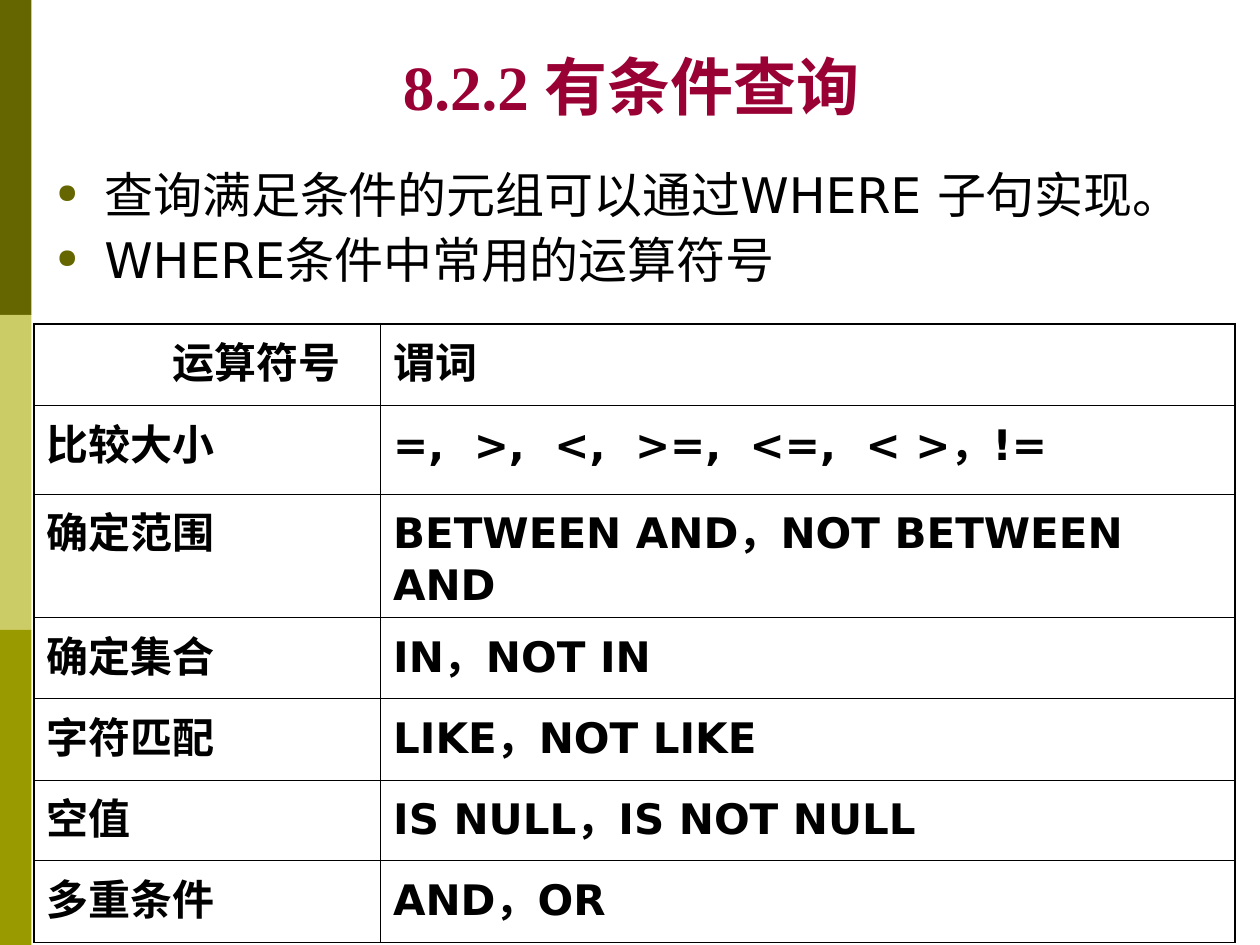
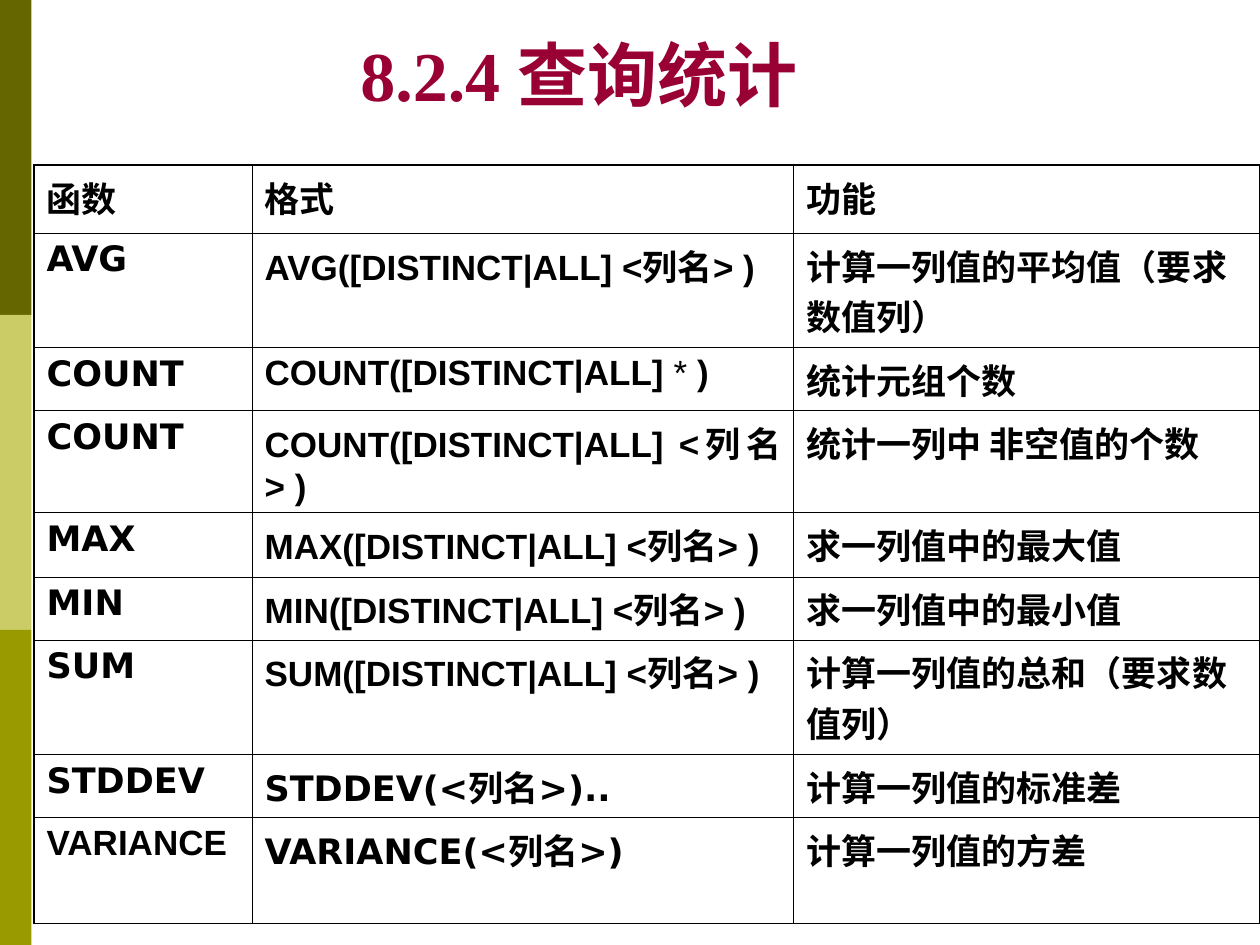
import pptx
import pptx.dml.color
import pptx.enum.shapes
import pptx.enum.text
import pptx.oxml
import pptx.oxml.ns
import pptx.util
from lxml import etree

Inches = pptx.util.Inches
Pt = pptx.util.Pt
qn = pptx.oxml.ns.qn
PP_ALIGN = pptx.enum.text.PP_ALIGN

COLORS = {
    "olive": "666600",
    "pale": "CCCC66",
    "moss": "999900",
    "title": "990033",
    "text": "000000",
}
SANS = "DejaVu Sans"
ARIAL = "Arial"
SERIF = "Times New Roman"
OUTER_LINE = 1.08
INNER_LINE = 0.45


def write(paragraph, text, size=20, font=SANS, color="text", bold=True, align=None):
    run = paragraph.add_run()
    run.text = text
    run.font.size = Pt(size)
    run.font.name = font
    run.font.bold = bold
    run.font.color.rgb = pptx.dml.color.RGBColor.from_string(COLORS[color])
    if align is not None:
        paragraph.alignment = align


def draw_table(slide, left, top, widths, heights, rows, size):
    table = slide.shapes.add_table(
        len(rows), len(widths), Inches(left), Inches(top),
        Inches(sum(widths)), Inches(sum(heights))).table
    table.first_row = False
    table.horz_banding = False
    for column, width in zip(table.columns, widths):
        column.width = Inches(width)
    for r, (row, height) in enumerate(zip(rows, heights)):
        table.rows[r].height = Inches(height)
        for c, content in enumerate(row):
            cell = table.cell(r, c)
            cell.fill.background()
            runs = [(content, {})] if isinstance(content, str) else content
            for text, style in runs:
                write(cell.text_frame.paragraphs[0], text, size=size, **style)
            on_edge = {
                "lnL": c == 0,
                "lnR": c == len(widths) - 1,
                "lnT": r == 0,
                "lnB": r == len(rows) - 1,
            }
            properties = cell._tc.get_or_add_tcPr()
            for index, (side, outer) in enumerate(on_edge.items()):
                line = etree.Element(qn("a:" + side))
                line.set("w", str(int(Pt(OUTER_LINE if outer else INNER_LINE))))
                fill = etree.SubElement(line, qn("a:solidFill"))
                etree.SubElement(fill, qn("a:srgbClr")).set("val", COLORS["text"])
                properties.insert(index, line)
    return table


deck = pptx.Presentation()
deck.slide_width = Inches(10)
deck.slide_height = Inches(7.5)

headings = [
    ("8.2.2 有条件查询", 36, (0.51, 0, 9, 1.03)),
    ("8.2.4 查询统计", 40, (0.51, 0.2, 8.17, 0.77)),
]
for heading, size, area in headings:
    slide = deck.slides.add_slide(deck.slide_layouts[6])
    for position, color in enumerate(("olive", "pale", "moss")):
        band = slide.shapes.add_shape(
            pptx.enum.shapes.MSO_SHAPE.RECTANGLE,
            0, Inches(2.5 * position), Inches(0.25), Inches(2.5))
        band.shadow.inherit = False
        band.fill.solid()
        band.fill.fore_color.rgb = pptx.dml.color.RGBColor.from_string(COLORS[color])
        band.line.fill.background()
    title = slide.shapes.add_textbox(*map(Inches, area)).text_frame
    title.word_wrap = True
    title.vertical_anchor = pptx.enum.text.MSO_ANCHOR.BOTTOM
    write(title.paragraphs[0], heading, size=size, font=SERIF, color="title",
          align=PP_ALIGN.CENTER)

conditions, statistics = deck.slides

points = conditions.shapes.add_textbox(
    Inches(0.35), Inches(1.31), Inches(9.45), Inches(1.2)).text_frame
points.word_wrap = True
for index, text in enumerate((
        "查询满足条件的元组可以通过WHERE 子句实现。",
        "WHERE条件中常用的运算符号")):
    point = points.add_paragraph() if index else points.paragraphs[0]
    properties = point._p.get_or_add_pPr()
    properties.set("marL", str(Inches(0.38)))
    properties.set("indent", str(-Inches(0.38)))
    bullet_color = etree.SubElement(properties, qn("a:buClr"))
    etree.SubElement(bullet_color, qn("a:srgbClr")).set("val", COLORS["olive"])
    etree.SubElement(properties, qn("a:buSzPct")).set("val", "55000")
    etree.SubElement(properties, qn("a:buChar")).set("char", "●")
    point.line_spacing = 0.9
    if index:
        point.space_before = Pt(7)
    write(point, text, size=28, bold=False)

operators = draw_table(
    conditions, 0.27, 2.57, [2.75, 6.78],
    [0.65, 0.7, 0.98, 0.64, 0.65, 0.64, 0.65],
    [
        ("运算符号", "谓词"),
        ("比较大小", "=,\t>,\t<,\t>=,\t<=,\t< >，!="),
        ("确定范围", "BETWEEN AND，NOT BETWEEN AND"),
        ("确定集合", "IN，NOT IN"),
        ("字符匹配", "LIKE，NOT LIKE"),
        ("空值", "IS NULL，IS NOT NULL"),
        ("多重条件", "AND，OR"),
    ], size=24)
symbol_heading = operators.cell(0, 0).text_frame.paragraphs[0]
symbol_heading._p.get_or_add_pPr().set("marL", str(Inches(1)))
comparisons = operators.cell(1, 1).text_frame.paragraphs[0]
stops = etree.SubElement(comparisons._p.get_or_add_pPr(), qn("a:tabLst"))
for position in (0.64, 1.28, 1.92, 2.83, 3.75):
    stop = etree.SubElement(stops, qn("a:tab"))
    stop.set("pos", str(Inches(position)))
    stop.set("algn", "l")

in_arial = {"font": ARIAL}
column_format = {
    name: [(name + "([DISTINCT|ALL] <", in_arial), ("列名", {}), ("> )", in_arial)]
    for name in ("AVG", "COUNT", "MAX", "MIN", "SUM")
}
count_all = [
    ("COUNT([DISTINCT|ALL]", in_arial),
    (" *", {"font": ARIAL, "bold": False}),
    (" )", in_arial),
]
functions = draw_table(
    statistics, 0.27, 1.31, [1.73, 4.3, 3.7],
    [0.54, 0.91, 0.5, 0.81, 0.51, 0.5, 0.91, 0.5, 0.84],
    [
        ("函数", "格式", "功能"),
        ("AVG", column_format["AVG"], "计算一列值的平均值（要求数值列）"),
        ("COUNT", count_all, "统计元组个数"),
        ("COUNT", column_format["COUNT"], "统计一列中 非空值的个数"),
        ("MAX", column_format["MAX"], "求一列值中的最大值"),
        ("MIN", column_format["MIN"], "求一列值中的最小值"),
        ("SUM", column_format["SUM"], "计算一列值的总和（要求数值列）"),
        ("STDDEV", "STDDEV(<列名>)..", "计算一列值的标准差"),
        ([("VARIANCE", in_arial)], "VARIANCE(<列名>)", "计算一列值的方差"),
    ], size=20)
functions.cell(3, 1).text_frame.paragraphs[0].alignment = PP_ALIGN.JUSTIFY

deck.save("out.pptx")
